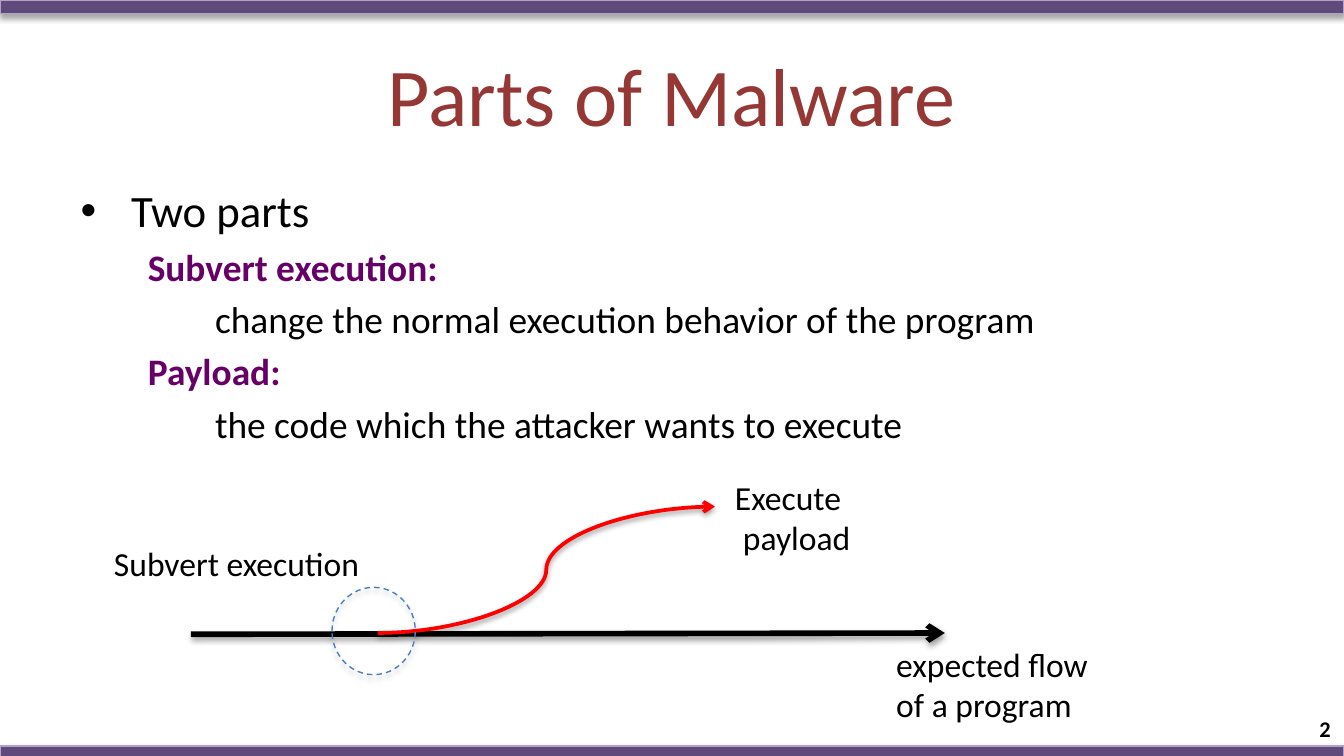
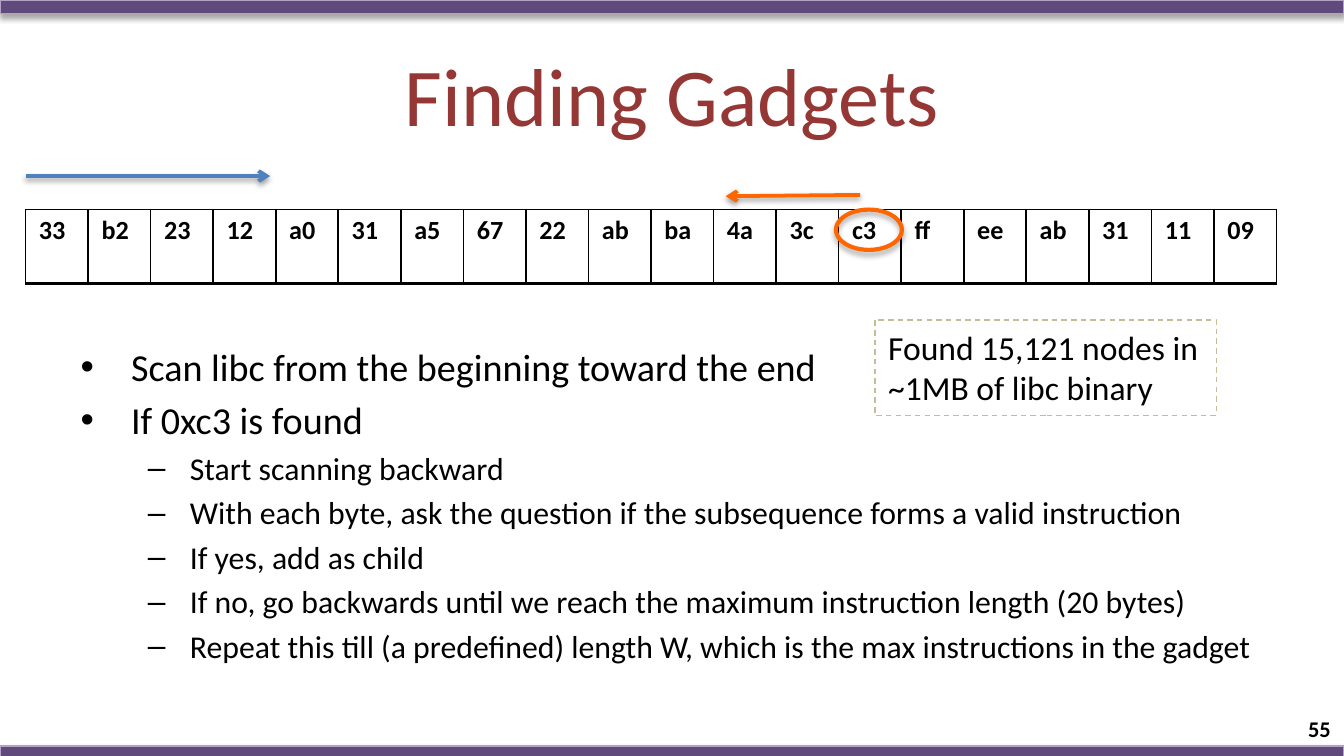
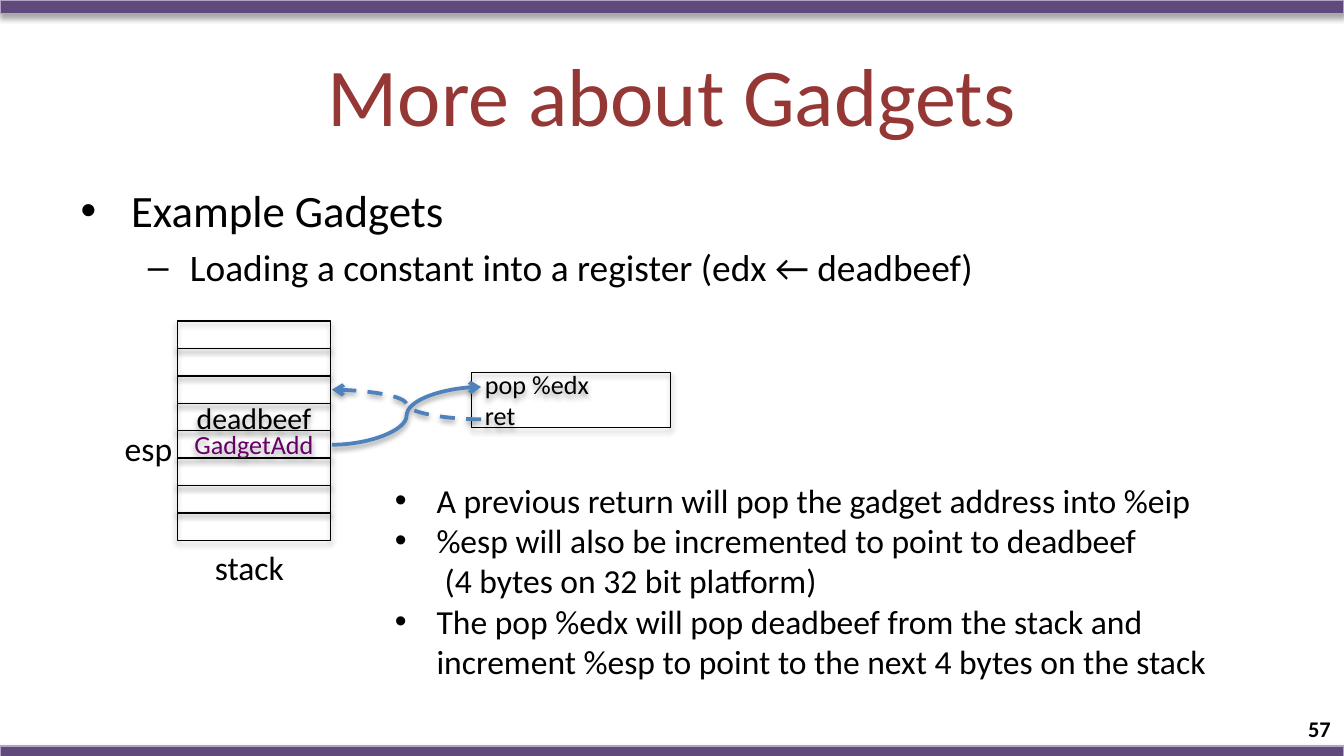
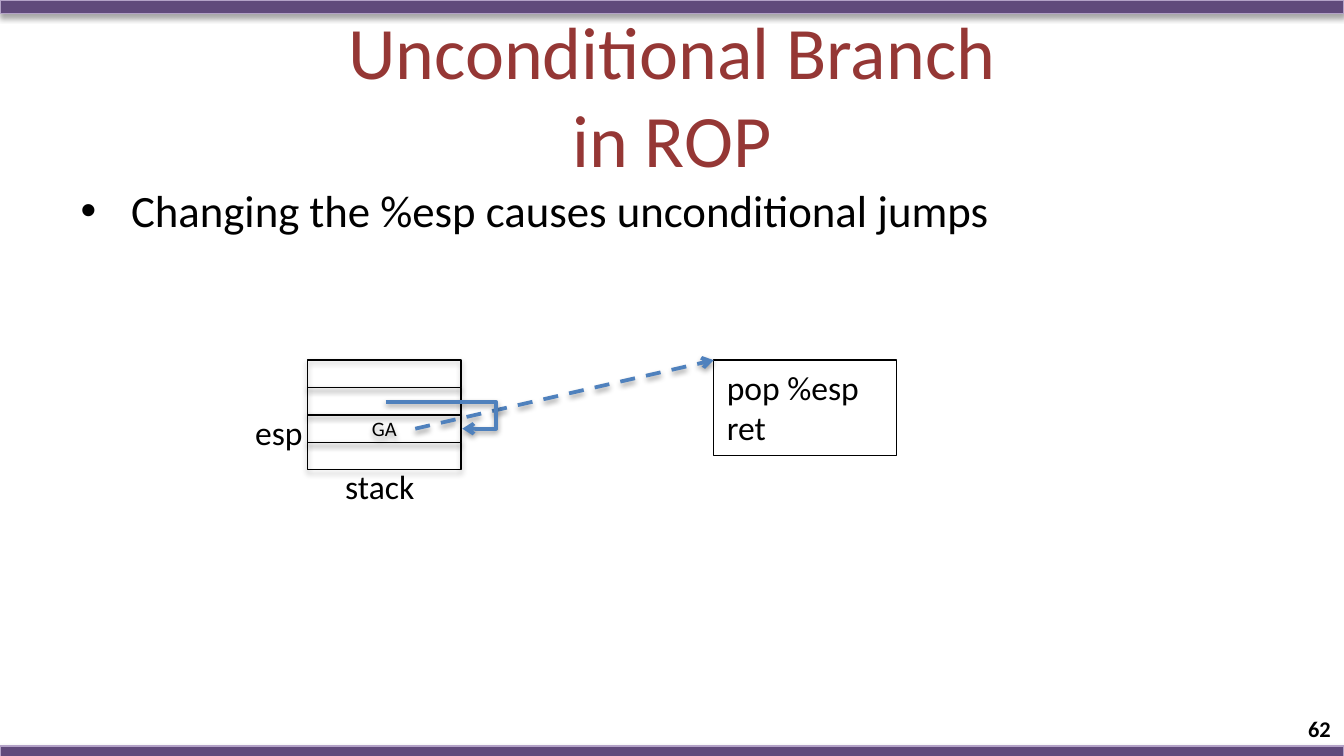
import pptx
import pptx.dml.color
import pptx.enum.dml
import pptx.enum.shapes
import pptx.enum.text
import pptx.oxml
import pptx.oxml.ns
import pptx.util
from lxml import etree

RGB = pptx.dml.color.RGBColor
BLACK = RGB(0x00, 0x00, 0x00)
BAND = RGB(0x60, 0x4A, 0x7B)
BAND_EDGE = RGB(0xB3, 0xA2, 0xC7)
TITLE = RGB(0x95, 0x37, 0x35)
KEYWORD = RGB(0x66, 0x00, 0x66)
BLUE = RGB(0x4F, 0x81, 0xBD)
RING_BLUE = RGB(0x4B, 0x7E, 0xBC)
RED = RGB(0xFF, 0x00, 0x00)
ORANGE = RGB(0xFF, 0x66, 0x00)
TAN = RGB(0xC4, 0xBD, 0x97)

SHAPE = pptx.enum.shapes.MSO_SHAPE
LINK = pptx.enum.shapes.MSO_CONNECTOR
ALIGN = pptx.enum.text.PP_ALIGN
ANCHOR = pptx.enum.text.MSO_ANCHOR
FIT = pptx.enum.text.MSO_AUTO_SIZE
DASH = pptx.enum.dml.MSO_LINE.DASH

# The slide is a grid of 100 columns by 56.25 rows of square cells
COLUMNS, ROWS = 100, 56.25
CELL = 0.1
TITLE_AREA = (5, 2.3, 90, 9.4)
BODY_AREA = (5, 13.1, 90, 37.1)

# Stack diagram, in grid cells
STACK_WIDTH, STACK_ROW = 11.4, 2.04


def cells(count):
    return pptx.util.Inches(count * CELL)


def place(shape, area):
    for name, value in zip(("left", "top", "width", "height"), area):
        setattr(shape, name, cells(value))


def drawing(tag, parent, **values):
    child = etree.SubElement(parent, pptx.oxml.ns.qn("a:" + tag))
    for name, value in values.items():
        child.set(name, str(value))
    return child


# Text
def set_indent(para, margin, hanging=0, bullet=None):
    props = para._p.get_or_add_pPr()
    props.set("marL", str(cells(margin)))
    props.set("indent", str(-cells(hanging)))
    if bullet:
        drawing("buFont", props, typeface="Arial")
        drawing("buChar", props, char=bullet)
    else:
        drawing("buNone", props)


def write(frame, lines, **look):
    """Fill a frame; a line is a string or a dict that adds to the look."""
    for number, line in enumerate(lines):
        values = {"size": 18, "name": "Calibri", "color": BLACK, **look}
        values.update(line if isinstance(line, dict) else {"text": line})
        para = frame.paragraphs[0] if number == 0 else frame.add_paragraph()
        para.level = values.pop("level", 0)
        para.alignment = values.pop("align", None)
        if number == 0:
            para.space_before = pptx.util.Pt(0)
        if "indent" in values:
            set_indent(para, *values.pop("indent"))
        span = para.add_run()
        span.text = values.pop("text")
        span.font.color.rgb = values.pop("color")
        values["size"] = pptx.util.Pt(values["size"])
        for name, value in values.items():
            setattr(span.font, name, value)


def add_label(page, area, lines, wrap=False, fit=FIT.SHAPE_TO_FIT_TEXT,
              anchor=ANCHOR.TOP, **look):
    box = page.shapes.add_textbox(0, 0, 0, 0)
    frame = box.text_frame
    frame.word_wrap, frame.auto_size = wrap, fit
    frame.vertical_anchor = anchor
    write(frame, lines, **look)
    place(box, area)


# Shapes and lines
def cast_shadow(shape, opacity, distance):
    props = shape._element.spPr
    effects = props.find(pptx.oxml.ns.qn("a:effectLst"))
    if effects is None:
        effects = drawing("effectLst", props)
    shadow = drawing("outerShdw", effects, blurRad=pptx.util.Pt(3.1),
                     dist=pptx.util.Pt(distance), dir=90 * 60000, rotWithShape=0)
    drawing("alpha", drawing("srgbClr", shadow, val=BLACK), val=opacity * 1000)


def draw_line(line, color, width, dash=None):
    line.color.rgb = color
    line.width = pptx.util.Pt(width)
    if dash:
        line.dash_style = dash


def add_box(page, area, lines=(), kind=SHAPE.RECTANGLE, fill=None, edge=BLACK,
            width=0.75, dash=None, shadow=True, wrap=True,
            anchor=ANCHOR.MIDDLE, **look):
    box = page.shapes.add_shape(kind, 0, 0, 0, 0)
    place(box, area)
    box.shadow.inherit = False
    if fill is None:
        box.fill.background()
    else:
        box.fill.solid()
        box.fill.fore_color.rgb = fill
    draw_line(box.line, edge, width, dash)
    if shadow:
        cast_shadow(box, 35, 1.8)
    box.text_frame.word_wrap = wrap
    box.text_frame.vertical_anchor = anchor
    write(box.text_frame, lines, **{"align": ALIGN.LEFT, **look})
    return box


def add_arrow(page, start, end, color=BLUE, width=2, kind=LINK.STRAIGHT,
              dash=None, bend=None):
    arrow = page.shapes.add_connector(kind, *map(cells, start + end))
    draw_line(arrow.line, color, width, dash)
    drawing("tailEnd", arrow.line._get_or_add_ln(), type="arrow")
    cast_shadow(arrow, 38, 1.6)
    if bend:
        adjustments = arrow._element.spPr.prstGeom.get_or_add_avLst()
        drawing("gd", adjustments, name="adj1", fmla=f"val {round(bend * 100000)}")


def add_stack(page, left, top, entries, esp_row, caption_top):
    """Stack of equal boxes, captioned below, with esp beside one row."""
    for row, entry in enumerate(entries):
        area = (left, top + row * STACK_ROW, STACK_WIDTH, STACK_ROW)
        add_box(page, area, [entry] if entry else [], align=ALIGN.CENTER)
    add_label(page, (left + 1.8, caption_top, 7.3, 4), ["stack"])
    add_label(page, (left - 4.9, top + esp_row * STACK_ROW - 0.7, 5.6, 4), ["esp"])


def add_byte_table(page, area, values):
    frame = page.shapes.add_table(1, len(values), *map(cells, area))
    table = frame.table
    table.first_row = table.horz_banding = False
    for column, value in enumerate(values):
        table.columns[column].width = cells(area[2] / len(values))
        cell = table.cell(0, column)
        cell.fill.background()
        cell.margin_top = cell.margin_bottom = cells(0.4)
        write(cell.text_frame, [value], size=14, bold=True)
        props = cell._tc.get_or_add_tcPr()
        for order, (side, width) in enumerate(zip("LRTB", (1, 1, 1, 2))):
            border = drawing("ln" + side, props, w=pptx.util.Pt(width))
            drawing("srgbClr", drawing("solidFill", border), val=BLACK)
            props.insert(order, border)


# Shared parts
def dress_layout(layout, page):
    """Draw the bands on a page, then move them to its layout."""
    for order, top in enumerate((0, 55.5)):
        band = add_box(page, (0, top, COLUMNS, 1), fill=BAND, edge=BAND_EDGE)
        band._element.xpath(".//p:cNvPr")[0].set("id", str(20 + order))
        layout.shapes.element.insert(2 + order, band._element)


def prepare_layout(layout):
    for holder in list(layout.placeholders):
        if holder.placeholder_format.idx > 1:
            holder._element.getparent().remove(holder._element)
    for holder, area in zip(layout.placeholders, (TITLE_AREA, BODY_AREA)):
        place(holder, area)


def add_page(deck, number, title, body, title_size=44, body_area=BODY_AREA):
    page = deck.slides.add_slide(deck.slide_layouts[1])
    heading, content = page.placeholders
    for holder, area in ((heading, TITLE_AREA), (content, body_area)):
        place(holder, area)
        holder.text_frame.auto_size = FIT.NONE
    write(heading.text_frame, title, size=title_size, color=TITLE, align=ALIGN.CENTER)
    write(content.text_frame, body)
    add_label(page, (76.7, 52.7, 23.3, 3), [str(number)], wrap=True, fit=FIT.NONE,
              anchor=ANCHOR.MIDDLE, size=12, bold=True, align=ALIGN.RIGHT)
    return page


def point(text, level=0, size=24, **look):
    return {"text": text, "level": level, "size": size, **look}


def term(text):
    return point(text, 1, 20, bold=True, color=KEYWORD, indent=(5,))


def meaning(text):
    return point(text, 1, 20, indent=(10,))


# Slides
def malware_page(deck):
    page = add_page(deck, 2, ["Parts of Malware"], [
        point("Two parts"),
        term("Subvert execution:"),
        meaning("change the normal execution behavior of the program"),
        term("Payload:"),
        meaning("the code which the attacker wants to execute")])
    add_arrow(page, (14.2, 47.2), (70.3, 47.1), BLACK, 3)
    add_label(page, (65.7, 47.4, 16.5, 7.1), ["expected flow", "of a program"])
    add_arrow(page, (28.1, 47.1), (53.2, 37.7), RED, kind=LINK.CURVE)
    add_label(page, (53.7, 35, 10.7, 7.1),
              ["Execute", {"text": "payload", "indent": (0.6,)}])
    add_box(page, (24.7, 43.7, 6.2, 6.5), kind=SHAPE.OVAL, edge=RING_BLUE, dash=DASH)
    add_label(page, (7.5, 39.9, 20.6, 4), ["Subvert execution"])
    return page


def finding_page(deck):
    steps = ["Start scanning backward",
             "With each byte, ask the question if the subsequence forms a valid instruction",
             "If yes, add as child",
             "If no, go backwards until we reach the maximum instruction length (20 bytes)",
             "Repeat this till (a predefined) length W, which is the max instructions in the gadget"]
    page = add_page(deck, 55, ["Finding Gadgets"], [
        point("Scan libc from the beginning toward the end", size=20.4),
        point("If 0xc3 is found", size=20.4),
        *[point(step, 1, 17) for step in steps]], body_area=(5, 25.05, 90, 25))
    add_byte_table(page, (1.9, 15.6, 93.1, 5.5),
                   "33 b2 23 12 a0 31 a5 67 22 ab ba 4a 3c c3 ff ee ab 31 11 09".split())
    add_arrow(page, (1.9, 13.1), (20.1, 13.1))
    add_box(page, (62.2, 15.6, 4.9, 3), kind=SHAPE.OVAL, edge=ORANGE, width=2.25)
    add_arrow(page, (64, 14.5), (54, 14.6), ORANGE)
    add_box(page, (65.1, 23.8, 25.4, 7.1),
            ["Found 15,121 nodes in", "~1MB of libc binary"],
            edge=TAN, dash=DASH, shadow=False, wrap=False, anchor=ANCHOR.TOP)


def constant_page(deck):
    page = add_page(deck, 57, ["More about Gadgets"], [
        point("Example Gadgets"),
        point("Loading a constant into a register (edx ← deadbeef)", 1, 20)])
    entries = [None] * 3 + [
        {"text": "deadbeef", "size": 16},
        {"text": "GadgetAdd", "size": 14, "color": KEYWORD}] + [None] * 3
    add_stack(page, 13.2, 23.9, entries, esp_row=4, caption_top=40.2)
    add_box(page, (35.1, 27.7, 14.8, 4.1), ["pop %edx", "ret"], size=14)
    add_arrow(page, (24.7, 33.1), (35.8, 28.8), kind=LINK.CURVE)
    add_arrow(page, (35.8, 31.2), (24.7, 29), kind=LINK.CURVE, dash=DASH)
    add_label(page, (28.4, 35.2, 68, 16.2), [
        "A previous return will pop the gadget address into %eip",
        "%esp will also be incremented to point to deadbeef",
        {"text": "(4 bytes on 32 bit platform)", "indent": (3.7,)},
        "The pop %edx will pop deadbeef from the stack and "
        "increment %esp to point to the next 4 bytes on the stack",
    ], wrap=True, indent=(3.1, 3.1, "•"))


def branch_page(deck):
    page = add_page(deck, 62, ["Unconditional Branch", "in ROP"],
                    [point("Changing the %esp causes unconditional jumps")],
                    title_size=39.6)
    add_stack(page, 22.9, 26.8, [None, None, {"text": "GA", "size": 11}, None],
              esp_row=2, caption_top=34.2)
    add_box(page, (53.1, 26.8, 13.6, 7.1), ["pop %esp", "ret"],
            shadow=False, anchor=ANCHOR.TOP)
    add_arrow(page, (30.9, 31.9), (53.1, 26.8), dash=DASH)
    add_arrow(page, (28.7, 29.9), (34.4, 31.9), kind=LINK.ELBOW, bend=1.44)


def main():
    deck = pptx.Presentation()
    deck.slide_width, deck.slide_height = cells(COLUMNS), cells(ROWS)
    layout = deck.slide_layouts[1]
    prepare_layout(layout)
    dress_layout(layout, malware_page(deck))
    finding_page(deck)
    constant_page(deck)
    branch_page(deck)
    deck.save("out.pptx")


if __name__ == "__main__":
    main()
